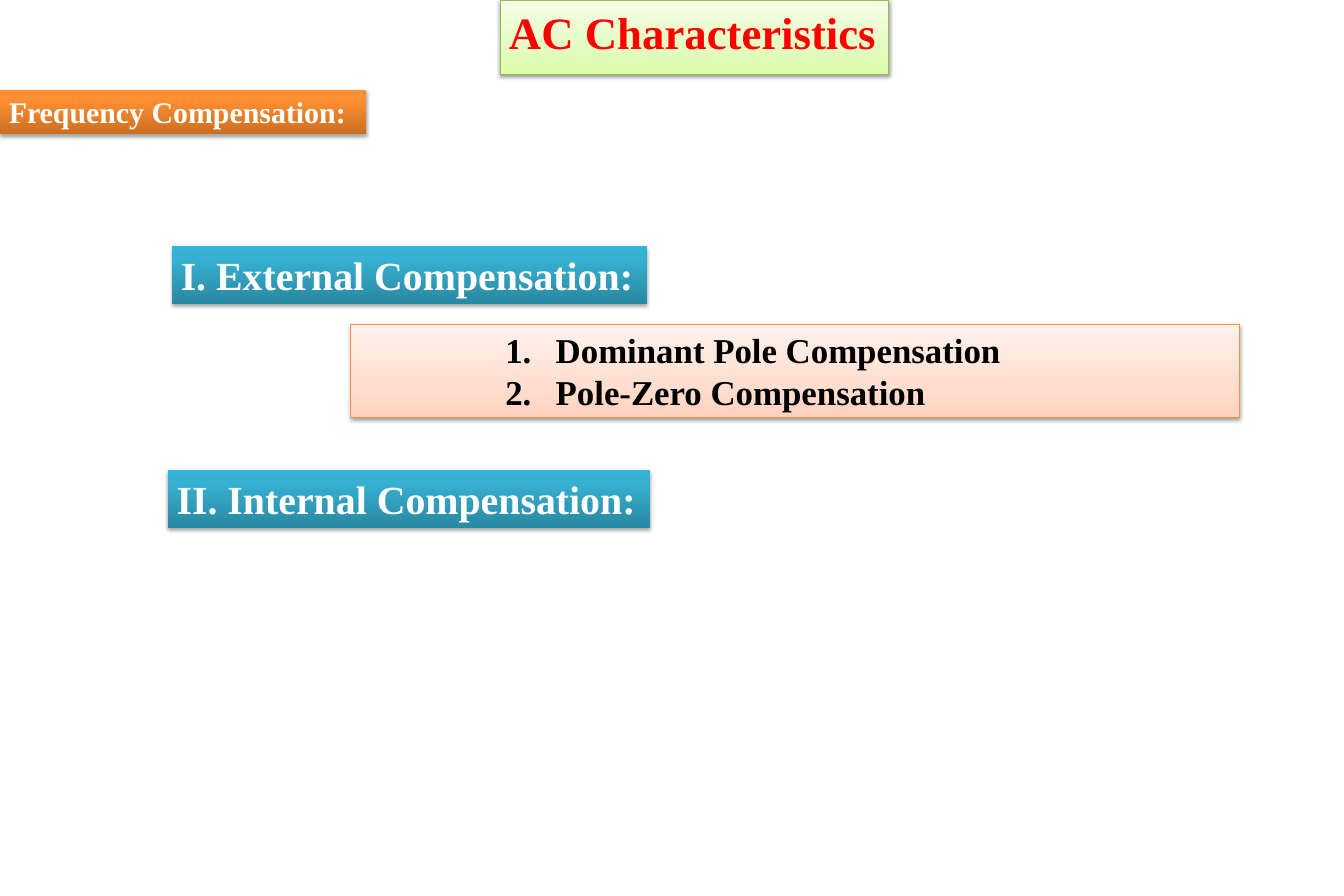
from lxml import etree
from pptx import Presentation
from pptx.dml.color import RGBColor
from pptx.enum.shapes import MSO_SHAPE
from pptx.enum.text import MSO_ANCHOR, MSO_AUTO_SIZE, PP_ALIGN
from pptx.oxml import parse_xml
from pptx.oxml.ns import nsdecls, qn
from pptx.util import Pt

RECTANGLE = MSO_SHAPE.RECTANGLE
TOP = MSO_ANCHOR.TOP
GROW = MSO_AUTO_SIZE.SHAPE_TO_FIT_TEXT
LEFT, JUSTIFY = PP_ALIGN.LEFT, PP_ALIGN.JUSTIFY

# Gradient stops run from the bottom edge to the top edge
GREEN = {"stops": [(0, "DAFDA7"), (35, "E4FCC2"), (100, "F5FFE7")],
         "line": "98B955", "shadow": (38, 1.6)}
ORANGE = {"stops": [(0, "CC6E20"), (80, "FF9034"), (100, "FF9136")],
          "line": None, "shadow": (35, 1.8)}
PEACH = {"stops": [(0, "FFD2BD"), (35, "FFDED0"), (100, "FFF2ED")],
         "line": "F69240", "shadow": (38, 1.6)}
TEAL = {"stops": [(0, "2A88A2"), (80, "37B1D2"), (100, "34B4D6")],
        "line": None, "shadow": (35, 1.8)}


def color(hex_value):
    return RGBColor.from_string(hex_value)


def style_panel(panel, look):
    """Apply a vertical gradient, an outline and a soft shadow."""
    panel.fill.gradient()
    panel.fill.gradient_angle = 90
    properties = panel._element.spPr
    stop_list = properties.find(qn("a:gradFill")).find(qn("a:gsLst"))
    for stop in list(stop_list):
        stop_list.remove(stop)
    for position, shade in look["stops"]:
        stop = etree.SubElement(stop_list, qn("a:gs"), pos=str(position * 1000))
        etree.SubElement(stop, qn("a:srgbClr"), val=shade)

    if look["line"]:
        panel.line.color.rgb = color(look["line"])
        panel.line.width = Pt(0.75)
    else:
        panel.line.fill.background()

    opacity, distance = look["shadow"]
    panel.shadow.inherit = False
    properties.find(qn("a:effectLst")).append(parse_xml(
        f'<a:outerShdw {nsdecls("a")} blurRad="{Pt(3.1)}" dist="{Pt(distance)}" '
        f'dir="5400000" rotWithShape="0"><a:srgbClr val="000000">'
        f'<a:alpha val="{opacity * 1000}"/></a:srgbClr></a:outerShdw>'))


presentation = Presentation()
presentation.slide_width = Pt(1080)
presentation.slide_height = Pt(720)
slide = presentation.slides.add_slide(presentation.slide_layouts[5])

# Each panel: box, look, text size, text colour, numbered, lines
panels = [
    ((401.8, 0, 312.4, 51), GREEN, 36, "FF0000", False,
     ["AC Characteristics"]),
    ((0, 72, 294.4, 36), ORANGE, 24, "FFFFFF", False,
     ["Frequency Compensation:"]),
    ((138.2, 198, 381.6, 46), TEAL, 32, "FFFFFF", False,
     ["I. External Compensation:"]),
    ((282, 260.6, 714.2, 75), PEACH, 28, "000000", True,
     ["Dominant Pole Compensation", "Pole-Zero Compensation"]),
    ((134.8, 378, 387.4, 46), TEAL, 32, "FFFFFF", False,
     ["II. Internal Compensation:"]),
]
frame_format = {"vertical_anchor": TOP, "auto_size": GROW,
                "margin_left": Pt(7.2), "margin_right": Pt(7.2),
                "margin_top": Pt(3.6), "margin_bottom": Pt(3.6)}

for index, (box, look, size, text_color, numbered, lines) in enumerate(panels):
    # The first panel is the slide title
    left, top, width, height = map(Pt, box)
    if index == 0:
        panel = slide.shapes.title
        panel.left, panel.top, panel.width, panel.height = left, top, width, height
    else:
        panel = slide.shapes.add_shape(RECTANGLE, left, top, width, height)
    style_panel(panel, look)

    # Text
    frame = panel.text_frame
    frame.text = "\n".join(lines)
    frame.word_wrap = numbered
    for attribute, value in frame_format.items():
        setattr(frame, attribute, value)
    font_format = {"name": "Times New Roman", "size": Pt(size), "bold": True}
    for paragraph in frame.paragraphs:
        paragraph.alignment = JUSTIFY if numbered else LEFT
        font = paragraph.runs[0].font
        for attribute, value in font_format.items():
            setattr(font, attribute, value)
        font.color.rgb = color(text_color)

        # Automatic numbering with a hanging indent
        if numbered:
            numbering = paragraph._p.get_or_add_pPr()
            numbering.set("marL", str(Pt(157.5)))
            numbering.set("indent", str(Pt(-40.5)))
            etree.SubElement(numbering, qn("a:buFont"), typeface="+mj-lt")
            etree.SubElement(numbering, qn("a:buAutoNum"), type="arabicPeriod")

presentation.save("out.pptx")
